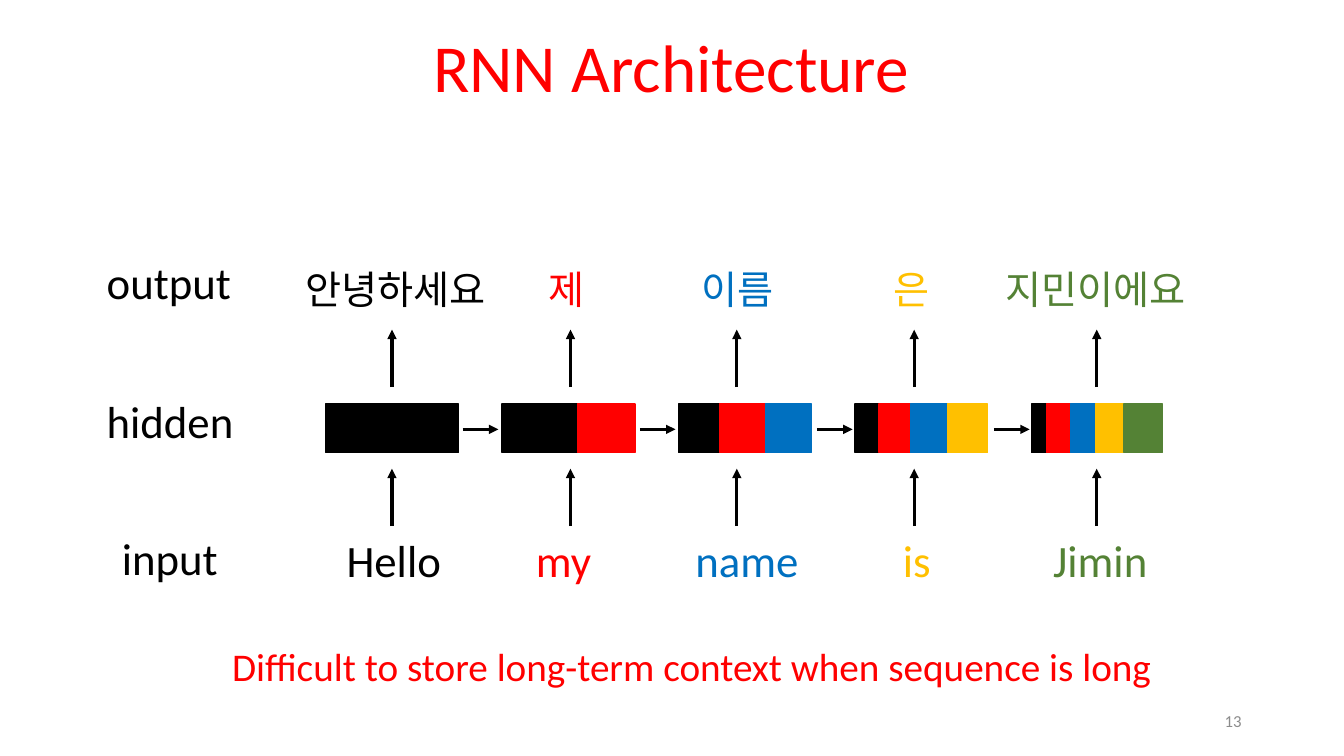
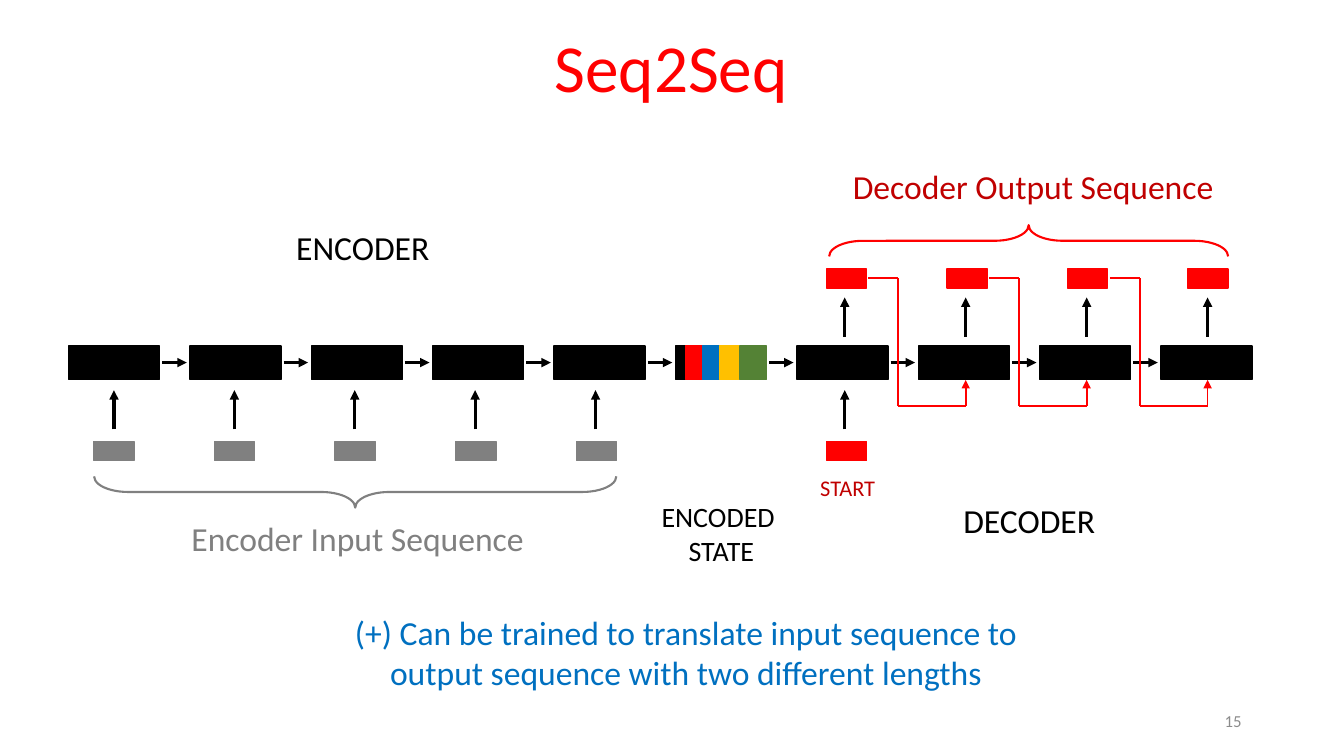
import dataclasses
import typing

import lxml.etree
import pptx
import pptx.dml.color
import pptx.enum.shapes
import pptx.enum.text
import pptx.oxml.ns
import pptx.util

Pt = pptx.util.Pt
ALIGN = pptx.enum.text.PP_ALIGN
ANCHOR = pptx.enum.text.MSO_ANCHOR
SHAPE = pptx.enum.shapes.MSO_SHAPE


@dataclasses.dataclass(frozen=True)
class Theme:
    font: str = "Calibri"
    black: str = "000000"
    red: str = "FF0000"
    dark_red: str = "C00000"
    blue: str = "0070C0"
    yellow: str = "FFC000"
    green: str = "548235"
    gray: str = "808080"
    page_gray: str = "8C8C8C"
    title_size: float = 48
    word_size: float = 32
    message_size: float = 28
    label_size: float = 24
    state_size: float = 20
    start_size: float = 16
    page_size: float = 12
    box_line: float = 1
    feedback_line: float = 1.25
    brace_line: float = 1.5
    arrow_line: float = 2.25


THEME = Theme()
WORD_COLORS = (THEME.black, THEME.red, THEME.blue, THEME.yellow, THEME.green)


class Word(typing.NamedTuple):
    """One time step: its texts, their boxes and the x of its arrows."""
    source: str
    source_left: float
    source_width: float
    target: str
    target_left: float
    target_width: float
    arrow_x: float
    stripes: tuple


WORDS = (
    Word("Hello", 240.5, 86, "안녕하세요", 204.5, 156.2, 280, (95,)),
    Word("my", 375.8, 58, "제", 381.6, 45.4, 407.5, (54, 41)),
    Word("name", 489.6, 95, "이름", 474.5, 105, 526.3, (29.5, 32.5, 33)),
    Word("is", 637.9, 40, "은", 598.3, 105, 653, (17.3, 22.3, 26.6, 28.8)),
    Word("Jimin", 745.2, 87, "지민이에요", 699.8, 165, 783.4,
         (10.8, 17.3, 18, 20.2, 27.4)),
)


def rgb(color):
    return pptx.dml.color.RGBColor.from_string(color)


class Deck:
    def __init__(self, theme):
        self.theme = theme
        self.presentation = pptx.Presentation()
        self.presentation.slide_width = Pt(960)
        self.presentation.slide_height = Pt(540)
        self.slide = None

    def start_slide(self, title, number):
        blank = self.presentation.slide_layouts[6]
        self.slide = self.presentation.slides.add_slide(blank)
        theme = self.theme
        self.text(number, 678, 500.4, 216, 28.8, theme.page_size,
                  theme.page_gray, ALIGN.RIGHT, ANCHOR.MIDDLE)
        self.text(title, 65.5, 1.4, 828, 78.5, theme.title_size, theme.red,
                  anchor=ANCHOR.BOTTOM, spacing=0.9)

    def text(self, content, left, top, width, height, size, color,
             align=ALIGN.CENTER, anchor=ANCHOR.TOP, spacing=None):
        """Add a text box with one paragraph per line of content."""
        shape = self.slide.shapes.add_textbox(
            Pt(left), Pt(top), Pt(width), Pt(height))
        frame = shape.text_frame
        frame.word_wrap = True
        frame.vertical_anchor = anchor
        for index, line in enumerate(content.split("\n")):
            paragraph = frame.add_paragraph() if index else frame.paragraphs[0]
            paragraph.alignment = align
            paragraph.line_spacing = spacing
            run = paragraph.add_run()
            run.text = line
            run.font.name = self.theme.font
            run.font.size = Pt(size)
            run.font.color.rgb = rgb(color)

    def box(self, left, top, width, height, color):
        shape = self.slide.shapes.add_shape(
            SHAPE.RECTANGLE, Pt(left), Pt(top), Pt(width), Pt(height))
        shape.shadow.inherit = False
        shape.fill.solid()
        shape.fill.fore_color.rgb = rgb(color)
        shape.line.color.rgb = rgb(color)
        shape.line.width = Pt(self.theme.box_line)

    def stripes(self, left, top, height, widths):
        """Add touching boxes, one per word remembered so far."""
        for width, color in zip(widths, WORD_COLORS):
            self.box(left, top, width, height, color)
            left += width

    def brace(self, left, top, width, height, rotation, color):
        shape = self.slide.shapes.add_shape(
            SHAPE.LEFT_BRACE, Pt(left), Pt(top), Pt(width), Pt(height))
        shape.shadow.inherit = False
        shape.rotation = rotation
        shape.adjustments[0] = 1.09
        shape.fill.background()
        shape.line.color.rgb = rgb(color)
        shape.line.width = Pt(self.theme.brace_line)

    def line(self, start, end, color, width, arrow=True):
        connector = self.slide.shapes.add_connector(
            pptx.enum.shapes.MSO_CONNECTOR.STRAIGHT,
            Pt(start[0]), Pt(start[1]), Pt(end[0]), Pt(end[1]))
        connector.line.color.rgb = rgb(color)
        connector.line.width = Pt(width)
        qn = pptx.oxml.ns.qn
        if arrow:
            lxml.etree.SubElement(
                connector.line._get_or_add_ln(), qn("a:tailEnd"), type="triangle")
        lxml.etree.SubElement(connector._element.spPr, qn("a:effectLst"))

    def right_arrow(self, left, y, length):
        self.line((left, y), (left + length, y),
                  self.theme.black, self.theme.arrow_line)

    def up_arrow(self, x, bottom, length):
        self.line((x, bottom), (x, bottom - length),
                  self.theme.black, self.theme.arrow_line)

    def bent_arrow(self, points):
        """Join the points by straight lines, with a head on the last."""
        last = len(points) - 2
        for index, (start, end) in enumerate(zip(points, points[1:])):
            self.line(start, end, self.theme.red, self.theme.feedback_line,
                      arrow=index == last)


def build_rnn(deck):
    theme = deck.theme
    deck.start_slide("RNN Architecture", "13")
    for label, left, top in (("output", 69.1, 178.6), ("hidden", 69.1, 277.9),
                             ("input", 80, 375.8)):
        deck.text(label, left, top, 108.7, 46, theme.word_size, theme.black,
                  ALIGN.LEFT)
    for index, (word, color) in enumerate(zip(WORDS, WORD_COLORS)):
        deck.text(word.source, word.source_left, 376.6, word.source_width, 46,
                  theme.word_size, color, ALIGN.LEFT)
        deck.text(word.target, word.target_left, 186, word.target_width, 41,
                  theme.message_size, color)
        deck.stripes(232.6 + 126 * index, 288.7, 34.6, word.stripes)
        for bottom in (375.8, 276.5):
            deck.up_arrow(word.arrow_x, bottom, 41)
        if index < len(WORDS) - 1:
            deck.right_arrow(330.5 + 126.5 * index, 306.7, 25.5)
    deck.text("Difficult to store long-term context when sequence is long",
              156, 455, 676, 41, theme.message_size, theme.red)


def build_seq2seq(deck):
    theme = deck.theme
    deck.start_slide("Seq2Seq", "15")

    cell_pitch, cell_count, state_index = 86.7, 10, 5
    for index in range(cell_count):
        left = 49 + cell_pitch * index
        if index == state_index:
            deck.stripes(left, 247.2, 23.8, (7.2, 12.2, 12.2, 14.4, 19))
        else:
            deck.box(left, 247.2, 65, 23.8, theme.black)
        if index < cell_count - 1:
            deck.right_arrow(left + 66.9, 259, 17.5)

    chip_width, chip_height, input_top, output_top = 28.8, 13.7, 315.4, 192.2
    for index in range(5):
        deck.up_arrow(81.4 + 86 * index, 306.7, 28)
        deck.box(67 + 86.2 * index, input_top, chip_width, chip_height, theme.gray)
    for index in range(4):
        deck.up_arrow(603.4 + 86.4 * index, 240.5, 28)
        deck.box(590.4 + 86 * index, output_top, chip_width, chip_height, theme.red)
    deck.up_arrow(603.4, 306.7, 28)
    deck.box(590.4, input_top, chip_width, chip_height, theme.red)

    for index in range(3):
        shift = 86.4 * index
        exit_x, turn_x, entry_x = 620 + shift, 641.4 + shift, 689.8 + shift
        deck.bent_arrow(((exit_x, 198.6), (turn_x, 198.6), (turn_x, 290.2),
                         (entry_x, 290.2), (entry_x, 271.4)))

    deck.brace(242.6, 164.9, 22.3, 373, 270, theme.gray)
    deck.brace(723.6, 29.5, 22.3, 285, 90, theme.red)

    for content, left, top, width, height, size, color in (
        ("ENCODER", 185, 158.4, 148.3, 36, theme.label_size, theme.black),
        ("DECODER", 661, 353.5, 148.3, 36, theme.label_size, theme.black),
        ("Encoder Input Sequence", 117.4, 366.5, 276, 36,
         theme.label_size, theme.gray),
        ("Decoder Output Sequence", 600, 115.2, 276, 36,
         theme.label_size, theme.dark_red),
        ("ENCODED \nSTATE", 458, 353.5, 114.5, 55.4,
         theme.state_size, theme.black),
        ("START", 573, 334.8, 65, 26.6, theme.start_size, theme.dark_red),
        ("(+) Can be trained to translate input sequence to output sequence "
         "with two different lengths", 216.7, 433.4, 546.5, 65.5,
         theme.label_size, theme.blue),
    ):
        deck.text(content, left, top, width, height, size, color)


def main():
    deck = Deck(THEME)
    build_rnn(deck)
    build_seq2seq(deck)
    deck.presentation.save("out.pptx")


if __name__ == "__main__":
    main()
